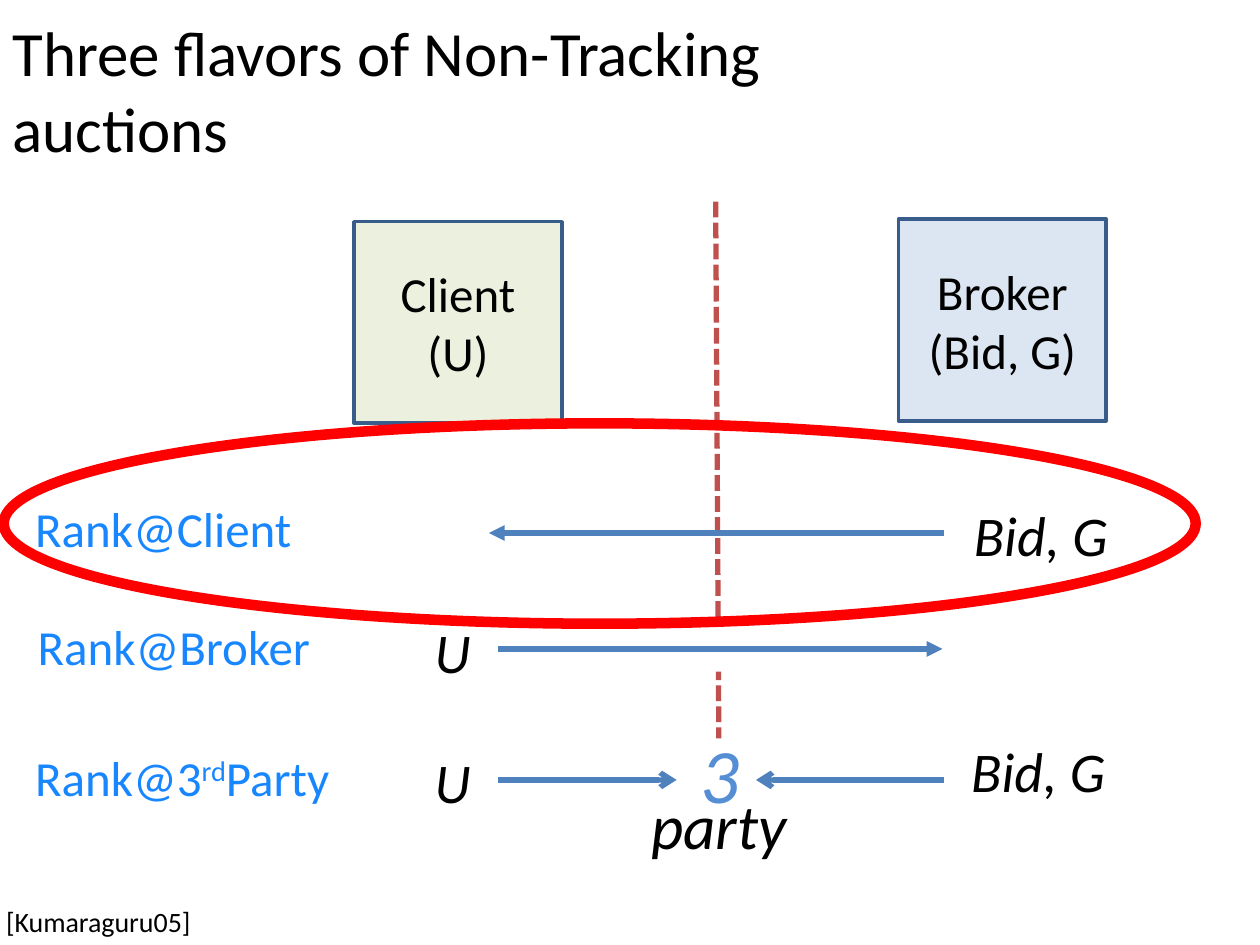
from lxml import etree
from pptx import Presentation
from pptx.dml.color import RGBColor
from pptx.enum.dml import MSO_LINE
from pptx.enum.shapes import MSO_CONNECTOR, MSO_SHAPE
from pptx.enum.text import MSO_ANCHOR, PP_ALIGN
from pptx.oxml.ns import qn
from pptx.util import Inches, Pt

RECT, OVAL, STRAIGHT = MSO_SHAPE.RECTANGLE, MSO_SHAPE.OVAL, MSO_CONNECTOR.STRAIGHT
DASH = MSO_LINE.SQUARE_DOT
LEFT, CENTER = PP_ALIGN.LEFT, PP_ALIGN.CENTER
TOP, MIDDLE = MSO_ANCHOR.TOP, MSO_ANCHOR.MIDDLE
COLORS = {
    "black": "000000", "white": "FFFFFF", "label": "1887FF", "three": "558ED5",
    "arrow": "4F81BD", "divider": "C0504D", "border": "385D8A",
    "client": "EBF1DE", "broker": "DCE6F2", "highlight": "FF0000",
}

prs = Presentation()
prs.slide_width, prs.slide_height = Inches(10), Inches(7.5)
s = prs.slides.add_slide(prs.slide_layouts[6])


def add_text(text, at, size=28, color="black", italic=False, align=LEFT,
             anchor=TOP, sp=None, superscript=None):
    sp = sp or s.shapes.add_textbox(*map(Inches, at))
    tf = sp.text_frame
    tf.word_wrap = True
    tf.vertical_anchor = anchor
    for i, line in enumerate(text.split("\n")):
        p = tf.paragraphs[0] if i == 0 else tf.add_paragraph()
        p.alignment = align
        for part in line.partition(superscript) if superscript else [line]:
            r = p.add_run()
            r.text = part
            r.font.name = "Calibri"
            r.font.size = Pt(size)
            r.font.italic = italic
            r.font.color.rgb = RGBColor.from_string(COLORS[color])
            if part == superscript:
                r.font._element.set("baseline", "30000")


def add_shape(kind, at, fill=None, line=None, width=2):
    sp = s.shapes.add_shape(kind, *map(Inches, at))
    sp.shadow.inherit = False
    if fill:
        sp.fill.solid()
        sp.fill.fore_color.rgb = RGBColor.from_string(COLORS[fill])
    else:
        sp.fill.background()
    if line:
        sp.line.color.rgb = RGBColor.from_string(COLORS[line])
        sp.line.width = Pt(width)
    else:
        sp.line.fill.background()
    return sp


LINES = [
    ((5.68, 1.6, 5.71, 6.66), "divider", None),
    ((7.49, 4.23, 3.88, 4.23), "arrow", "triangle"),
    ((3.95, 5.15, 7.48, 5.15), "arrow", "triangle"),
    ((7.49, 6.19, 6, 6.19), "arrow", "arrow"),
    ((3.95, 6.19, 5.37, 6.19), "arrow", "arrow"),
]
for ends, color, head in LINES:
    c = s.shapes.add_connector(STRAIGHT, *map(Inches, ends))
    c.line.color.rgb = RGBColor.from_string(COLORS[color])
    c.line.width = Pt(3)
    if head:
        etree.SubElement(c.line._get_or_add_ln(), qn("a:tailEnd"), type=head)
    else:
        c.line.dash_style = DASH
        for gap in [(5.5, 4.94, 0.39, 0.39), (5.37, 5.86, 0.67, 0.89)]:
            add_shape(RECT, gap, fill="white")
    etree.SubElement(c._element.spPr, qn("a:effectLst"))

for text, x, y, w in [("Bid, G", 7.63, 3.92, 1.55), ("U", 3.35, 4.85, 0.45),
                      ("U", 3.35, 5.88, 0.45), ("Bid, G", 7.61, 5.8, 1.55)]:
    add_text(text, (x, y, w, 0.64), size=32, italic=True)
add_text("party", (5.07, 6.19, 1.32, 1.3), size=36, italic=True)
add_text("3", (5.46, 5.72, 0.52, 0.84), size=44, color="three", italic=True)

for text, x, y, sup in [("Rank@Client", 0.18, 3.91, None),
                        ("Rank@Broker", 0.2, 4.84, None),
                        ("Rank@3rdParty", 0.18, 5.88, "rd")]:
    add_text(text, (x, y, 3.01, 0.57), color="label", superscript=sup)

add_text("Three flavors of Non-Tracking auctions", (0, 0.17, 7.33, 1.08),
         size=36, anchor=MIDDLE)

for text, x, y, fill in [("Broker\n(Bid, G)", 7.13, 1.74, "broker"),
                         ("Client\n(U)", 2.81, 1.76, "client")]:
    at = (x, y, 1.65, 1.6)
    box = add_shape(RECT, at, fill=fill, line="border")
    add_text(text, at, align=CENTER, anchor=MIDDLE, sp=box)

add_shape(OVAL, (0.03, 3.36, 9.46, 1.59), line="highlight", width=6)
add_text("[Kumaraguru05]", (-0.05, 7.13, 1.8, 0.37), size=16)

prs.save("out.pptx")
